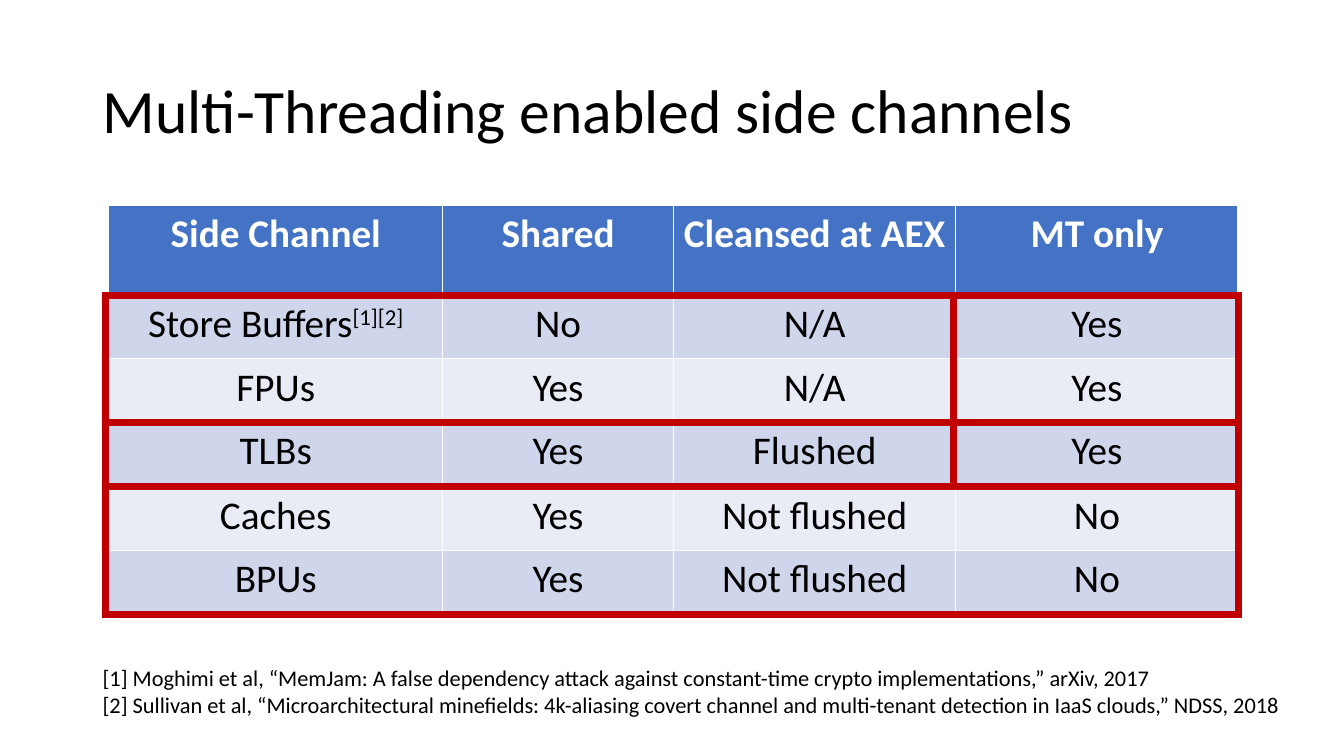
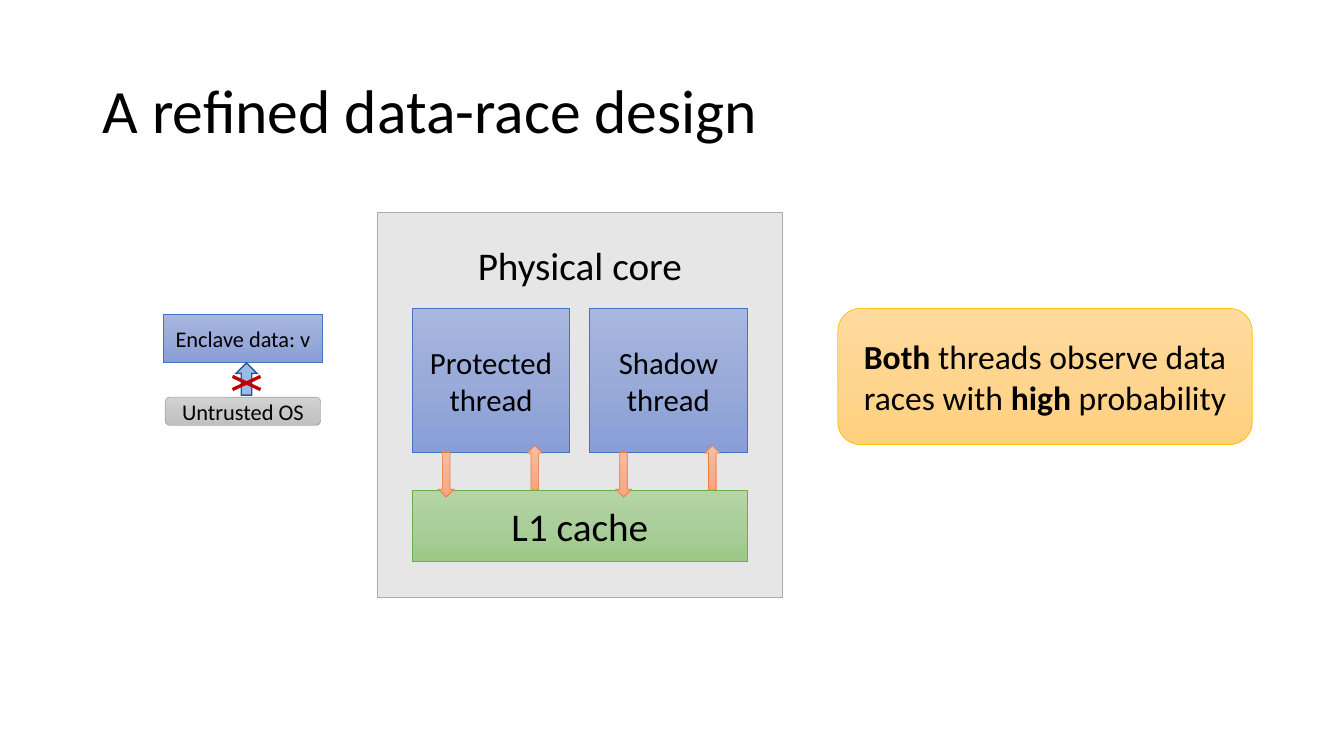
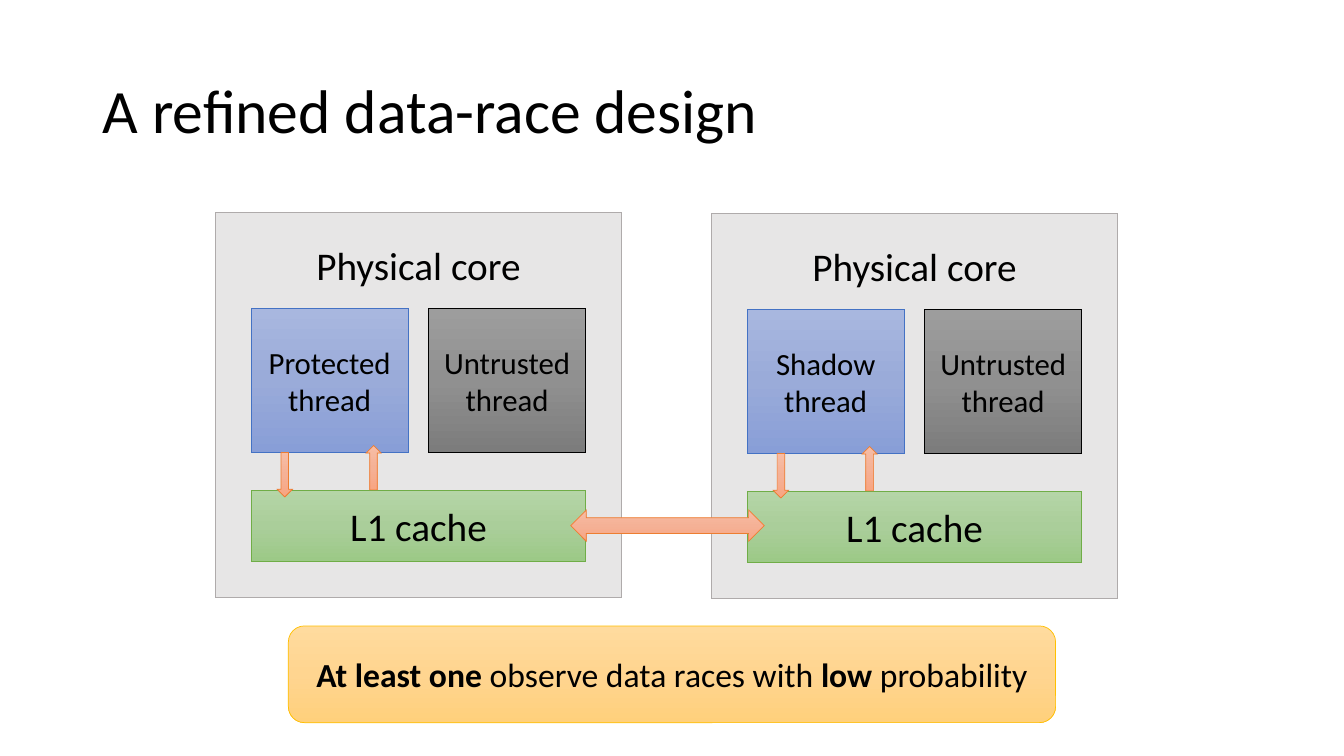
from copy import deepcopy

from lxml import etree
from pptx import Presentation
from pptx import util as u
from pptx.dml.color import RGBColor
from pptx.enum import shapes, text
from pptx.oxml.ns import qn

PX = 9144  # 100 px to the inch
FONT = "Calibri"
BLACK, WHITE, RED = "000000", "FFFFFF", "C00000"
KIND = shapes.MSO_SHAPE
ALIGN = text.PP_ALIGN
ANCHOR = text.MSO_ANCHOR

# name: fill (three colours make a gradient), line, line width
LOOKS = {
    "core": ("E7E6E6", "AFABAB", 0.5),
    "blue": (("A8B7DF", "9AABD9", "889ED7"), "4472C4", 0.5),
    "dark": (("9D9D9D", "909090", "7C7C7C"), BLACK, 0.5),
    "green": (("B5D5A7", "AACE9A", "9CC987"), "70AD47", 0.5),
    "flow": (("F7BDA5", "F5B196", "F8A582"), "ED7D31", 0.5),
    "gold": (("FFDB9E", "FFD590", "FFD07C"), "FFC000", 0.5),
    "grey": (("D2D2D2", "C8C8C8", "C0C0C0"), "A5A5A5", 0.5),
    "write": ("99BCE4", "325491", 1),
    "cross": (RED, RED, 1),
    "frame": (None, RED, 5),
    "note": (WHITE, None, 0),
}

# In texts, *stars* mark bold and ^ starts a superscript
ROWS = [
    ("Side Channel", "Shared", "Cleansed at AEX", "MT only"),
    ("Store Buffers^[1][2]", "No", "N/A", "Yes"),
    ("FPUs", "Yes", "N/A", "Yes"),
    ("TLBs", "Yes", "Flushed", "Yes"),
    ("Caches", "Yes", "Not flushed", "No"),
    ("BPUs", "Yes", "Not flushed", "No"),
]
WIDTHS = (331, 229, 280, 280)
HEIGHTS = (89, 63, 63, 64, 63, 64)
BANDS = ("E9EBF5", "CFD5EA")
FRAMES = [(3, 1, 3), (0, 1, 2), (0, 3, 3), (0, 4, 5)]  # first column, first row, last row
NOTES = [
    "[1] Moghimi et al, “MemJam: A false dependency attack against constant-time "
    "crypto implementations,” arXiv, 2017",
    "[2] Sullivan et al, “Microarchitectural minefields: 4k-aliasing covert channel "
    "and multi-tenant detection in IaaS clouds,” NDSS, 2018",
]
RACE = "A refined data-race design"
SAFE, SHADOW, OTHER = "Protected thread", "Shadow thread", "Untrusted thread"

# kind, look, box, text, size
SIDE = [
    (KIND.ROUNDED_RECTANGLE, "gold", (831, 306, 411, 135),
     "*Both* threads observe data races with *high* probability", 24),
    (KIND.RECTANGLE, "blue", (162, 312, 158, 48), "Enclave data: v", 16),
    (KIND.ROUNDED_RECTANGLE, "grey", (164, 394, 154, 28), "Untrusted OS", 16),
    (KIND.UP_ARROW, "write", (234, 360, 21, 32), "", 16),
    (KIND.MATH_MULTIPLY, "cross", (219, 368, 51, 24), "", 16),
]
LINK = [
    (KIND.ROUNDED_RECTANGLE, "gold", (286, 621, 761, 96),
     "*At least one* observe data races with *low* probability", 24),
    (KIND.LEFT_RIGHT_ARROW, "flow", (566, 506, 192, 31), "", 16),
]


def rgb(code):
    return RGBColor.from_string(code)


def emu(box):
    return [n * PX for n in box]


def write(frame, lines, size, color=BLACK, align=ALIGN.CENTER, **form):
    """Fill a text frame; form holds further frame attributes."""
    form = {"word_wrap": True, "vertical_anchor": ANCHOR.MIDDLE, **form}
    for key, val in form.items():
        setattr(frame, key, val)
    for i, line in enumerate(lines):
        para = frame.add_paragraph() if i else frame.paragraphs[0]
        para.alignment = align
        body, _, sup = line.partition("^")
        parts = [(t, n % 2 == 1) for n, t in enumerate(body.split("*")) if t]
        for part, bold in parts + ([(sup, False)] if sup else []):
            run = para.add_run()
            run.text = part
            for key, val in {"name": FONT, "size": u.Pt(size), "bold": bold}.items():
                setattr(run.font, key, val)
            run.font.color.rgb = rgb(color)
        if sup:
            run.font._element.set("baseline", "30000")


def paint(shape, look):
    fill, line, width = LOOKS[look]
    if fill is None:
        shape.fill.background()
    elif isinstance(fill, str):
        shape.fill.solid()
        shape.fill.fore_color.rgb = rgb(fill)
    else:
        shape.fill.gradient()
        shape.fill.gradient_angle = 270
        stops = shape._element.xpath(".//a:gsLst")[0]
        stops.insert(1, deepcopy(stops[0]))
        for n, stop in enumerate(shape.fill.gradient_stops):
            stop.position = n / 2
            stop.color.rgb = rgb(fill[n])
    if line:
        shape.line.color.rgb = rgb(line)
        shape.line.width = u.Pt(width)
        edge = shape._element.xpath("./p:spPr/a:ln")[0]
        etree.SubElement(edge, qn("a:miter")).set("lim", "800000")
    else:
        shape.line.fill.background()


def draw(slide, kind, look, box, words="", size=16, **form):
    shape = slide.shapes.add_shape(kind, *emu(box))
    shape.shadow.inherit = False
    paint(shape, look)
    if words:
        lines = [words] if isinstance(words, str) else words
        write(shape.text_frame, lines, size, **form)
    return shape


def start(deck, title):
    """Add a blank slide with its title."""
    slide = deck.slides.add_slide(deck.slide_layouts[6])
    frame = slide.shapes.add_textbox(*emu((92, 40, 1150, 145))).text_frame
    write(frame, [title], 44, align=ALIGN.LEFT)
    frame.paragraphs[0].line_spacing = 0.9
    return slide


def core(slide, x, y, threads):
    """Draw a physical core whose trusted threads exchange data with the cache."""
    draw(slide, KIND.RECTANGLE, "core", (x, y, 402, 382), "Physical core", 28,
         vertical_anchor=ANCHOR.TOP, margin_top=28 * PX)
    for i, name in enumerate(threads):
        look = "dark" if name == OTHER else "blue"
        draw(slide, KIND.RECTANGLE, look, (x + 35 + 176 * i, y + 95, 156, 143), name, 22)
    draw(slide, KIND.RECTANGLE, "green", (x + 35, y + 275, 332, 71), "L1 cache", 28)
    for i, name in enumerate(threads):
        if name != OTHER:
            left = x + 61 + 176 * i
            draw(slide, KIND.DOWN_ARROW, "flow", (left, y + 238, 15, 44))
            draw(slide, KIND.UP_ARROW, "flow", (left + 88, y + 231, 15, 44))


def channels(slide):
    left, top = 108, 204
    box = (left, top, sum(WIDTHS), sum(HEIGHTS))
    table = slide.shapes.add_table(len(ROWS), len(WIDTHS), *emu(box)).table
    for col, width in zip(table.columns, WIDTHS):
        col.width = width * PX
    for r, (row, height) in enumerate(zip(ROWS, HEIGHTS)):
        table.rows[r].height = height * PX
        for c, words in enumerate(row):
            cell = table.cell(r, c)
            cell.fill.solid()
            cell.fill.fore_color.rgb = rgb(BANDS[r % 2] if r else "4472C4")
            cell.vertical_anchor = ANCHOR.TOP
            write(cell.text_frame, [words if r else f"*{words}*"], 28,
                  BLACK if r else WHITE, vertical_anchor=None)
    right = left + sum(WIDTHS)
    for col, first, last in FRAMES:
        x = left + sum(WIDTHS[:col]) - (2 if col else 3)
        y = top + sum(HEIGHTS[:first])
        draw(slide, KIND.RECTANGLE, "frame", (x, y, right - x, sum(HEIGHTS[first:last + 1])))
    draw(slide, KIND.RECTANGLE, "note", (92, 654, 1193, 63), NOTES, 16, align=ALIGN.LEFT)


def main():
    deck = Presentation()
    deck.slide_width, deck.slide_height = emu((1333, 750))

    channels(start(deck, "Multi-Threading enabled side channels"))

    slide = start(deck, RACE)
    core(slide, 374, 211, (SAFE, SHADOW))
    for item in SIDE:
        shape = draw(slide, *item)
    shape.adjustments[0] = 0.08

    slide = start(deck, RACE)
    core(slide, 214, 211, (SAFE, OTHER))
    core(slide, 706, 212, (SHADOW, OTHER))
    for item in LINK:
        draw(slide, *item)

    deck.save("out.pptx")


if __name__ == "__main__":
    main()
